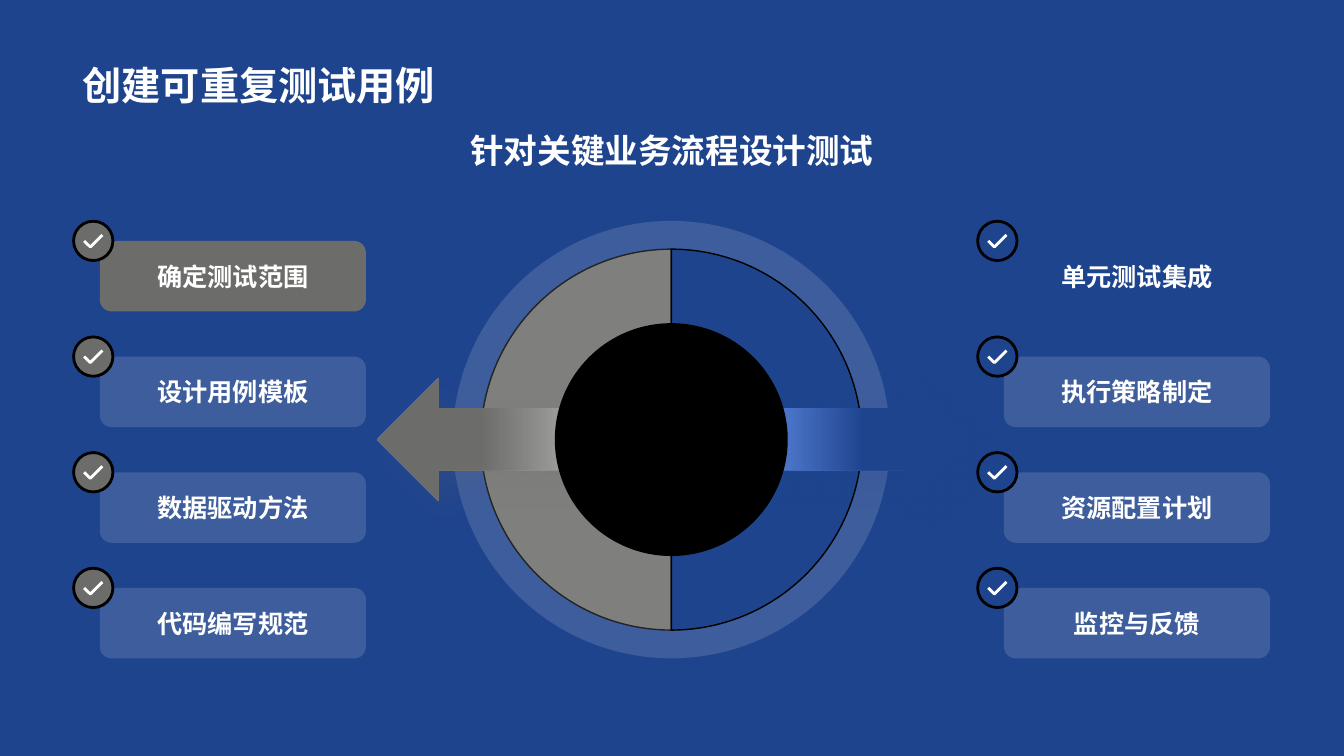
from lxml.etree import SubElement
from pptx import Presentation
from pptx.dml.color import RGBColor
from pptx.enum.shapes import MSO_SHAPE as Shape
from pptx.enum.text import MSO_ANCHOR as Anchor, PP_ALIGN as Align
from pptx.oxml.ns import qn
from pptx.util import Inches, Pt

BLUE = RGBColor(0x1F, 0x44, 0x8E)
LIGHT_BLUE = RGBColor(0x59, 0x84, 0xDB)
GREY = RGBColor(0x6C, 0x6C, 0x6A)
LIGHT_GREY = RGBColor(0xA7, 0xA7, 0xA5)
PALE = RGBColor(0xF0, 0xF0, 0xF0)
WHITE = RGBColor(0xFF, 0xFF, 0xFF)
BLACK = RGBColor(0x00, 0x00, 0x00)

FIRST_ROW, ROW_STEP = 31.87, 15.3
CARD_SIZE = 19.8, 9.33
BADGE_OFFSET, BADGE_SIZE = -0.49, 2.93
CHECK = (0.68, -0.45), (-0.22, 0.45), (-0.68, 0)
HUB = 49.95, 58.15
COLUMNS = [
    (7.43, GREY, ["确定测试范围", "设计用例模板", "数据驱动方法", "代码编写规范"]),
    (74.7, BLUE, ["单元测试集成", "执行策略制定", "资源配置计划", "监控与反馈"]),
]


class Board:
    """Draws styled elements on one page, with lengths in percent of its size."""

    def __init__(self, deck, font="Arial"):
        self.font = font
        self.unit_x = deck.slide_width / 100
        self.unit_y = deck.slide_height / 100
        self.page = deck.slides.add_slide(deck.slide_layouts[5])
        self.page.background.fill.solid()
        self.page.background.fill.fore_color.rgb = BLUE

    def area(self, left, top, width, height):
        return (round(left * self.unit_x), round(top * self.unit_y),
                round(width * self.unit_x), round(height * self.unit_y))

    def square(self, center, size):
        x, y = center
        side = size * self.unit_x
        return (round(x * self.unit_x - side / 2), round(y * self.unit_y - side / 2),
                round(side), round(side))

    def set_text(self, shape, text, size, align, anchor):
        frame = shape.text_frame
        frame.word_wrap = True
        frame.vertical_anchor = anchor
        para = frame.paragraphs[0]
        para.text = text
        para.alignment = align
        para.font.name = self.font
        para.font.size = Pt(size)
        para.font.bold = True
        para.font.color.rgb = WHITE

    def title(self, text, *place):
        title = self.page.shapes.title
        title.left, title.top, title.width, title.height = self.area(*place)
        self.set_text(title, text, 28, Align.LEFT, Anchor.BOTTOM)

    def label(self, text, *place):
        box = self.page.shapes.add_textbox(*self.area(*place))
        self.set_text(box, text, 24, Align.CENTER, Anchor.TOP)

    def shape(self, kind, place, color, line=None, adjust=(), alpha=None):
        shape = self.page.shapes.add_shape(kind, *place)
        shape.shadow.inherit = False
        for index, value in enumerate(adjust):
            shape.adjustments[index] = value
        shape.fill.solid()
        shape.fill.fore_color.rgb = color
        if alpha:
            tone = shape.element.spPr.find(qn("a:solidFill"))[0]
            SubElement(tone, qn("a:alpha"), val=str(alpha * 1000))
        if line:
            shape.line.color.rgb = BLACK
            shape.line.width = Pt(line)
        else:
            shape.line.fill.background()
        return shape

    def card(self, text, left, top, color, alpha=None):
        place = self.area(left, top, *CARD_SIZE)
        card = self.shape(Shape.ROUNDED_RECTANGLE, place, color, alpha=alpha)
        self.set_text(card, text, 18, Align.CENTER, Anchor.MIDDLE)

    def badge(self, x, y, color):
        self.shape(Shape.ROUNDED_RECTANGLE, self.square((x, y), BADGE_SIZE),
                   color, line=2, adjust=[0.5])
        points = [(round((x + dx) * self.unit_x), round(y * self.unit_y + dy * self.unit_x))
                  for dx, dy in CHECK]
        builder = self.page.shapes.build_freeform(*points[0])
        builder.add_line_segments(points[1:], close=False)
        check = builder.convert_to_shape()
        check.shadow.inherit = False
        check.fill.background()
        check.line.color.rgb = WHITE
        check.line.width = Pt(2)

    def disc(self, size, color, alpha=None):
        self.shape(Shape.OVAL, self.square(HUB, size), color, alpha=alpha)

    def half_ring(self, start, end, color):
        self.shape(Shape.BLOCK_ARC, self.square(HUB, 28.35), color,
                   line=1, adjust=[start, end, 0.2])

    def arrow(self, left, light, color, flip=False):
        arrow = self.shape(Shape.RIGHT_ARROW, self.area(left, 50, 15.3, 16.27), color)
        arrow.fill.gradient()
        arrow.fill.gradient_angle = 0
        for stop, tone, position in zip(arrow.fill.gradient_stops, (light, color), (0, 0.5)):
            stop.color.rgb = tone
            stop.position = position
        properties = arrow.element.spPr
        if flip:
            properties.find(qn("a:xfrm")).set("flipH", "1")
        shadow = SubElement(properties.find(qn("a:effectLst")), qn("a:outerShdw"),
                            blurRad=str(Pt(20)), dist=str(Pt(14)), dir=str(45 * 60000),
                            algn="tl", rotWithShape="0")
        tone = SubElement(shadow, qn("a:srgbClr"), val=str(color))
        SubElement(tone, qn("a:alpha"), val="12000")


def main():
    deck = Presentation()
    deck.slide_width, deck.slide_height = Inches(13.33), Inches(7.5)
    board = Board(deck)
    board.title("创建可重复测试用例", 5.4, 1.87, 89.1, 13.07)

    for left, color, topics in COLUMNS:
        for row, topic in enumerate(topics):
            top = FIRST_ROW + row * ROW_STEP
            if row == 0:
                board.card(topic, left, top, color)
            else:
                board.card(topic, left, top, PALE, alpha=15)
            board.badge(left + BADGE_OFFSET, top, color)

    board.half_ring(54, 162, GREY)
    board.disc(32.55, PALE, alpha=15)
    board.half_ring(162, 54, BLUE)
    board.arrow(56.63, LIGHT_BLUE, BLUE)
    board.arrow(28.05, LIGHT_GREY, GREY, flip=True)
    board.disc(17.33, BLACK)
    board.label("针对关键业务流程设计测试", 16.65, 16.53, 66.68, 8.53)
    deck.save("out.pptx")


if __name__ == "__main__":
    main()
